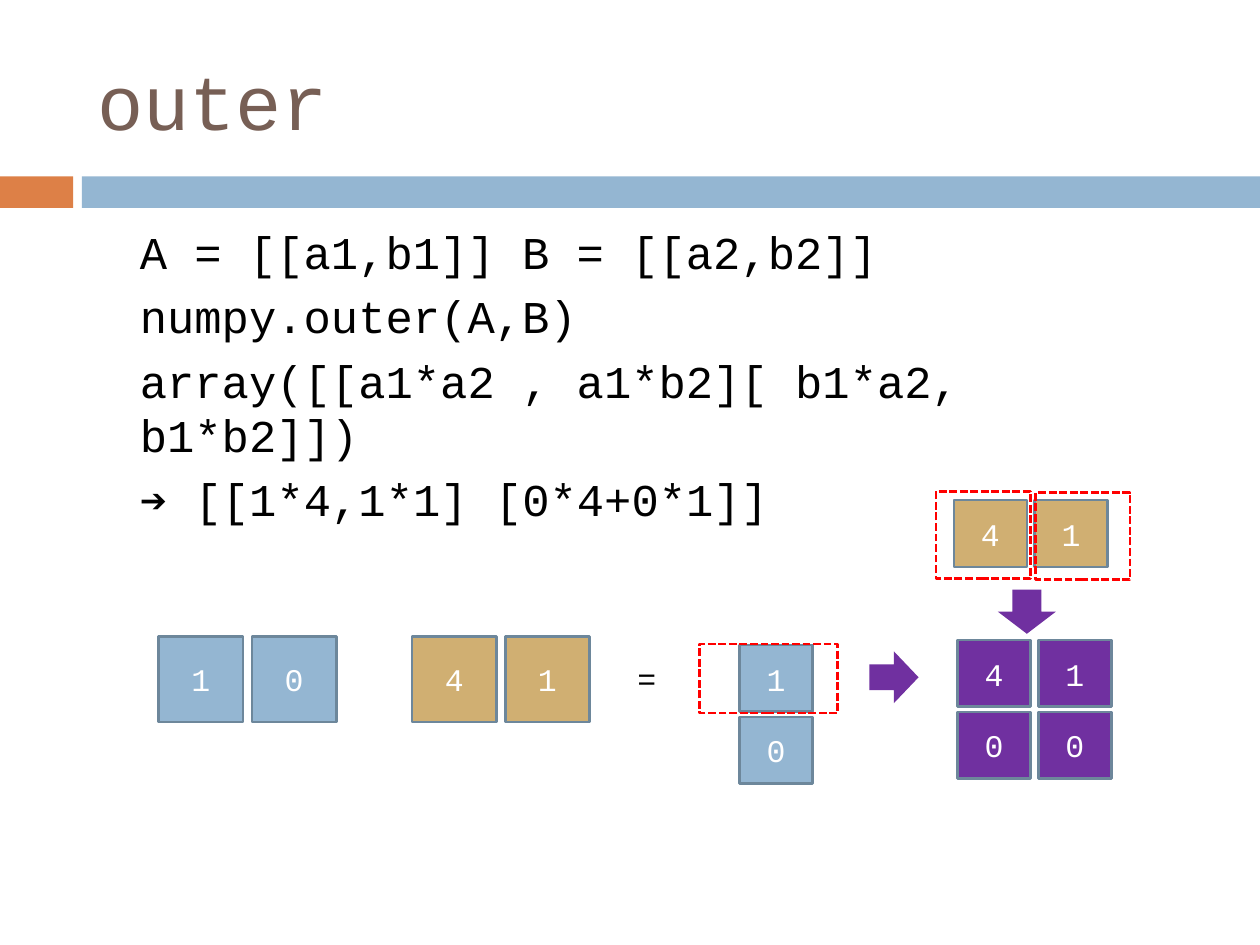
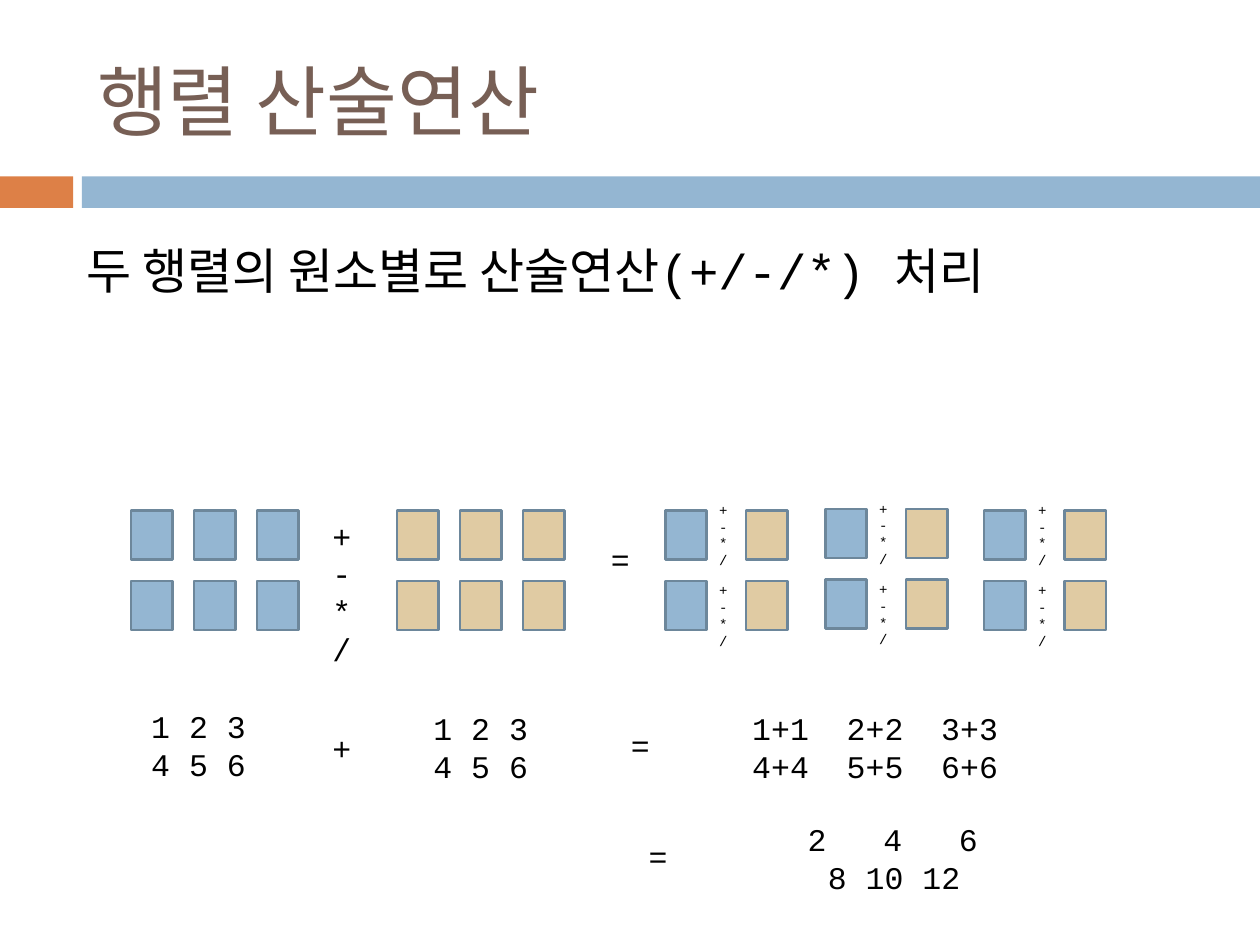
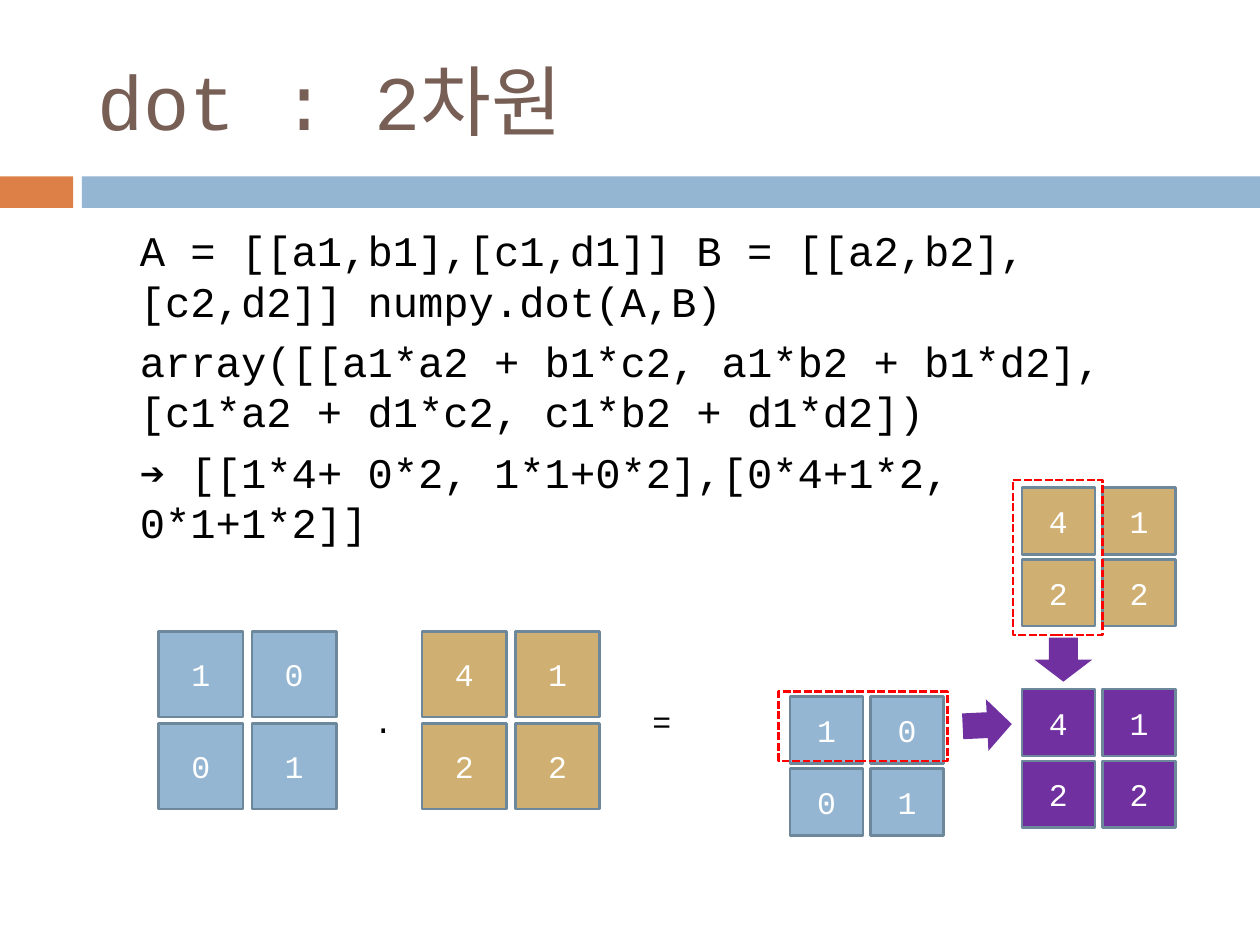
from pptx import Presentation
from pptx.dml.color import RGBColor
from pptx.enum.dml import MSO_LINE
from pptx.enum.shapes import MSO_SHAPE
from pptx.enum.text import MSO_ANCHOR, MSO_AUTO_SIZE, PP_ALIGN
from pptx.oxml.ns import qn
from pptx.util import Pt
from lxml import etree

PX = 9144  # EMU per px, 100 px to the inch
RECT, DOWN = MSO_SHAPE.RECTANGLE, MSO_SHAPE.DOWN_ARROW
DASH = MSO_LINE.SQUARE_DOT
LEFT, MID = PP_ALIGN.LEFT, PP_ALIGN.CENTER
TOP, MIDDLE = MSO_ANCHOR.TOP, MSO_ANCHOR.MIDDLE

FONT = "Courier New"
BLUE, GOLD, SAND, PLUM = "94B6D2", "D0AF72", "E0CBA3", "7030A0"
ORANGE, EDGE, RED = "DD8047", "6D879B", "FF0000"
BROWN, BLACK, WHITE = "775F55", "000000", "FFFFFF"

BANDS = [((0, 140, 58, 25), ORANGE), ((65, 140, 935, 25), BLUE)]
TITLE_BOX = (67, 25, 892, 108)
BODY_BOX = (51, 173, 900, 218)

# cell width, cell height, column step, row step
BIG = (67, 68, 74, 73)
SMALL = (58, 53, 64, 57)
BLANK = (33, 39, 50, 56)

OUTER = {
    "title": "outer",
    "size": 26,
    "body": [
        "A = [[a1,b1]] B = [[a2,b2]]",
        "numpy.outer(A,B)",
        "array([[a1*a2 , a1*b2][ b1*a2, b1*b2]])",
        "➔ [[1*4,1*1] [0*4+0*1]]",
    ],
    "grids": [
        (["10"], 126, 505, BLUE, BIG),
        (["41"], 327, 505, GOLD, BIG),
        (["1", "0"], 587, 512, BLUE, SMALL),
        (["41"], 757, 397, GOLD, SMALL),
        (["41", "00"], 760, 508, PLUM, SMALL),
    ],
    "frames": [(555, 511, 110, 55), (743, 390, 75, 69), (822, 391, 75, 69)],
    "arrows": [((792, 468, 46, 35), 0), ((689, 518, 41, 39), 270)],
    "signs": [("=", (496, 518, 24, 40))],
}
DOT = {
    "title": "dot : 2차원",
    "size": 24.1,
    "body": [
        "A = [[a1,b1],[c1,d1]] B = [[a2,b2],[c2,d2]] numpy.dot(A,B)",
        "array([[a1*a2 + b1*c2, a1*b2 + b1*d2], [c1*a2 + d1*c2, c1*b2 + d1*d2])",
        "➔ [[1*4+ 0*2, 1*1+0*2],[0*4+1*2, 0*1+1*2]]",
    ],
    "grids": [
        (["10", "01"], 126, 501, BLUE, BIG),
        (["41", "22"], 335, 501, GOLD, BIG),
        (["10", "01"], 627, 553, BLUE, SMALL),
        (["41", "22"], 811, 387, GOLD, SMALL),
        (["41", "22"], 811, 547, PLUM, SMALL),
    ],
    "frames": [(618, 549, 134, 55), (804, 381, 71, 123)],
    "arrows": [((821, 506, 46, 35), 0), ((763, 556, 41, 39), 267.3)],
    "signs": [("=", (508, 552, 24, 40)), (".", (287, 552, 24, 40))],
}

SUM_TITLE = "행렬 산술연산"
SUM_LEAD = "두 행렬의 원소별로 산술연산(+/-/*) 처리"
OPS = ["+", "-", "*", "/"]
PAIRS = [(528, 405), (655, 404), (781, 405)]
SUM_SIGNS = [
    (OPS, (254, 405, 40, 131)),
    (["="], (475, 424, 33, 40)),
    (["+"], (254, 574, 40, 40)),
    (["="], (491, 571, 33, 40)),
    (["="], (505, 659, 33, 40)),
]
NUMS = ["1 2 3", "4 5 6"]
NUM_BOXES = [(79, 556, 157, 71), (303, 558, 157, 71)]
# rows, box, left inset, right inset, column step
RESULTS = [
    ([["1+1", "2+2", "3+3"], ["4+4", "5+5", "6+6"]],
     (575, 558, 239, 71), 22, 10, 75),
    ([["2", "4", "6"], ["8 10 12"]], (589, 646, 239, 71), 52, 50, 60),
]


def rgb(code):
    return RGBColor.from_string(code)


def emu(box):
    return [n * PX for n in box]


def write(frame, lines, size, color=BLACK, align=LEFT, anchor=TOP):
    look = {"word_wrap": True, "vertical_anchor": anchor,
            "auto_size": MSO_AUTO_SIZE.NONE}
    for key, val in look.items():
        setattr(frame, key, val)
    for i, line in enumerate(lines):
        para = frame.add_paragraph() if i else frame.paragraphs[0]
        para.alignment = align
        run = para.add_run()
        run.text = line
        run.font.name, run.font.size = FONT, Pt(size)
        run.font.color.rgb = rgb(color)


def label(slide, lines, box, size=18, align=LEFT):
    frame = slide.shapes.add_textbox(*emu(box)).text_frame
    write(frame, lines, size, align=align)
    return frame


def draw(slide, box, fill=None, line=None, kind=RECT):
    shape = slide.shapes.add_shape(kind, *emu(box))
    shape.shadow.inherit = False
    if fill:
        shape.fill.solid()
        shape.fill.fore_color.rgb = rgb(fill)
    else:
        shape.fill.background()
    if line:
        shape.line.color.rgb = rgb(line)
        shape.line.width = Pt(1.5)
    else:
        shape.line.fill.background()
    return shape


def grid(slide, rows, x, y, fill, form):
    """Draw one cell for each character; a space leaves its cell empty."""
    w, h, dx, dy = form
    for r, row in enumerate(rows):
        for c, mark in enumerate(row):
            cell = draw(slide, (x + c * dx, y + r * dy, w, h), fill, EDGE)
            if mark != " ":
                write(cell.text_frame, [mark], 18, WHITE, MID, MIDDLE)


def place(shape, box):
    shape.left, shape.top, shape.width, shape.height = emu(box)


def start(prs, layout, title):
    slide = prs.slides.add_slide(prs.slide_layouts[layout])
    head = slide.shapes.title
    place(head, TITLE_BOX)
    write(head.text_frame, [title], 44, BROWN, LEFT, MIDDLE)
    return slide


def product(prs, data):
    slide = start(prs, 1, data["title"])
    body = slide.placeholders[1]
    place(body, BODY_BOX)
    write(body.text_frame, data["body"], data["size"])
    for i, para in enumerate(body.text_frame.paragraphs):
        para.level = 1
        props = para._p.get_or_add_pPr()
        props.set("marL", str(50 * PX))
        props.set("indent", "0")
        etree.SubElement(props, qn("a:buNone"))
        para.space_before = Pt(5.5 if i else 0)
    for item in data["grids"]:
        grid(slide, *item)
    for box in data["frames"]:
        draw(slide, box, line=RED).line.dash_style = DASH
    for box, turn in data["arrows"]:
        draw(slide, box, PLUM, kind=DOWN).rotation = turn
    for sign, box in data["signs"]:
        label(slide, [sign], box)


def sums(prs):
    slide = start(prs, 5, SUM_TITLE)
    label(slide, [SUM_LEAD], (59, 186, 882, 57), 28)
    for x, fill in ((104, BLUE), (315, SAND)):
        grid(slide, [" " * 3] * 2, x, 405, fill, BLANK)
    for x, y in PAIRS:
        for dx, fill in ((0, BLUE), (64, SAND)):
            grid(slide, [" "] * 2, x + dx, y, fill, BLANK)
        for r in range(2):
            label(slide, OPS, (x + 33, y - 12 + r * 64, 40, 64), 8)
    for lines, box in SUM_SIGNS:
        label(slide, lines, box)
    for box in NUM_BOXES:
        label(slide, NUMS, box, align=MID)
    for rows, box, left, right, step in RESULTS:
        frame = label(slide, [chr(9).join(row) for row in rows], box)
        frame.margin_left, frame.margin_right = left * PX, right * PX
        for row, para in zip(rows, frame.paragraphs):
            if len(row) == 1:
                para.alignment = MID
                continue
            tabs = etree.SubElement(para._p.get_or_add_pPr(), qn("a:tabLst"))
            for c in range(1, len(row)):
                etree.SubElement(tabs, qn("a:tab"),
                                 pos=str(c * step * PX), algn="l")


def share(prs):
    """Move the bands to the slide master, behind its placeholders."""
    slide = prs.slides[0]
    tree = prs.slide_master.shapes.element
    for i, (box, fill) in enumerate(BANDS):
        tree.insert(2 + i, draw(slide, box, fill).element)


def main():
    prs = Presentation()
    prs.slide_width, prs.slide_height = emu((1000, 750))
    product(prs, OUTER)
    sums(prs)
    product(prs, DOT)
    share(prs)
    prs.save("out.pptx")


if __name__ == "__main__":
    main()
